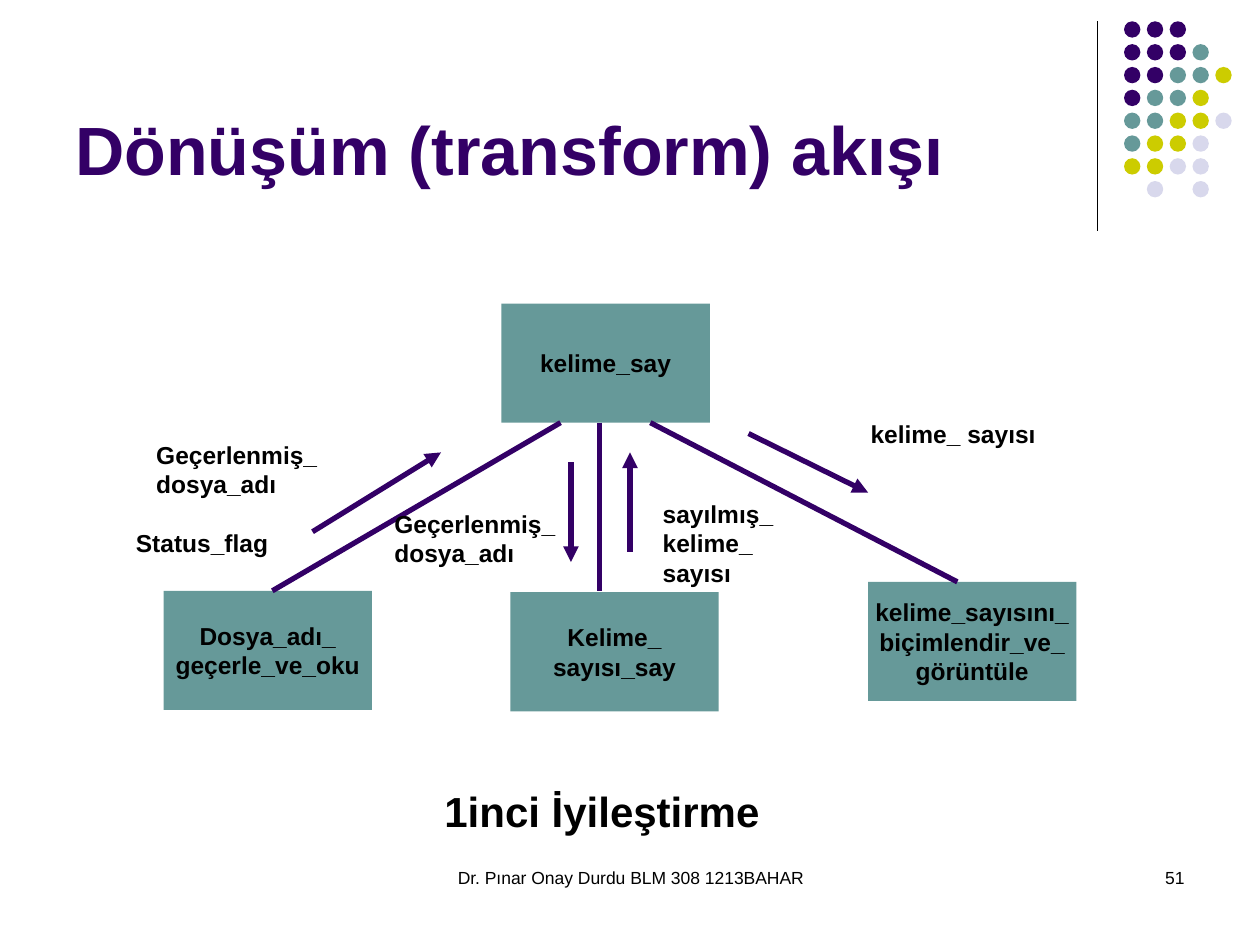
import pptx
import pptx.dml.color
import pptx.enum.shapes
import pptx.enum.text
import pptx.oxml
import pptx.oxml.ns
import pptx.util
from lxml import etree

Cm = pptx.util.Cm
ALIGN = pptx.enum.text.PP_ALIGN
ANCHOR = pptx.enum.text.MSO_ANCHOR
SHAPE = pptx.enum.shapes.MSO_SHAPE
STRAIGHT = pptx.enum.shapes.MSO_CONNECTOR.STRAIGHT

COLORS = {
    "purple": "330066",
    "teal": "669999",
    "olive": "CCCC00",
    "lilac": "D8D8EC",
    "black": "000000",
}
DOT_COLORS = {"p": "purple", "t": "teal", "o": "olive", "l": "lilac"}
DOT_ROWS = ["ppp", "pppt", "pptto", "ptto", "ttool", "tool", "ooll", " l l"]


def rgb(name):
    return pptx.dml.color.RGBColor.from_string(COLORS[name])


def write(sp, lines, size, color="black", align=ALIGN.LEFT, anchor=ANCHOR.TOP,
          bold=True, wrap=True):
    """Put one paragraph per line into a shape."""
    tf = sp.text_frame
    tf.word_wrap = wrap
    tf.vertical_anchor = anchor
    font = {"name": "Arial", "size": pptx.util.Pt(size), "bold": bold}
    for i, line in enumerate(lines):
        p = tf.paragraphs[0] if i == 0 else tf.add_paragraph()
        p.alignment = align
        r = p.add_run()
        r.text = line
        for key, value in font.items():
            setattr(r.font, key, value)
        r.font.color.rgb = rgb(color)


def add_text(s, box, text, size, **style):
    sp = s.shapes.add_textbox(*(Cm(v) for v in box))
    write(sp, [text], size, **style)


def add_block(s, kind, box, color):
    sp = s.shapes.add_shape(kind, *(Cm(v) for v in box))
    sp.shadow.inherit = False
    sp.fill.solid()
    sp.fill.fore_color.rgb = rgb(color)
    sp.line.fill.background()
    return sp


def add_line(s, start, end, color, width, arrow=False):
    cn = s.shapes.add_connector(STRAIGHT, *(Cm(v) for v in start + end))
    cn.line.color.rgb = rgb(color)
    cn.line.width = pptx.util.Pt(width)
    if arrow:
        ln = cn.line._get_or_add_ln()
        etree.SubElement(ln, pptx.oxml.ns.qn("a:tailEnd"), type="triangle")
    etree.SubElement(cn._element.spPr, pptx.oxml.ns.qn("a:effectLst"))


def add_corner(s, left, top, height):
    """Vertical rule with the dot pattern to its right."""
    add_line(s, (left, top), (left, top + height), "black", 0.75)
    pitch, size = 0.46, 0.33
    for row, codes in enumerate(DOT_ROWS):
        for col, code in enumerate(codes):
            if code in DOT_COLORS:
                box = (left + 0.54 + col * pitch, top + row * pitch, size, size)
                add_block(s, SHAPE.OVAL, box, DOT_COLORS[code])


def add_footer(s, top, height):
    add_text(s, (8.69, top, 8.05, height), "Dr. Pınar Onay Durdu BLM 308 1213BAHAR",
             10, align=ALIGN.CENTER, bold=False)
    add_text(s, (18.21, top, 5.92, height), "51", 10, align=ALIGN.RIGHT, bold=False)


def add_structure_chart(s, left, top):
    """Module boxes, call lines, data-flow arrows and their labels."""
    modules = [
        (7.62, 0, ["kelime_say"]),
        (0.81, 5.79, ["Dosya_adı_", "geçerle_ve_oku"]),
        (7.8, 5.82, ["Kelime_", "sayısı_say"]),
        (15.01, 5.61, ["kelime_sayısını_", "biçimlendir_ve_", "görüntüle"]),
    ]
    calls = [
        ((3, 5.79), (8.81, 2.4)),
        ((9.6, 2.4), (9.6, 5.8)),
        ((10.62, 2.4), (16.81, 5.61)),
    ]
    flows = [
        ((3.81, 4.6), (6.4, 3)),
        ((9.02, 3.2), (9.02, 5.21)),
        ((10.21, 5), (10.21, 3)),
        ((12.6, 2.62), (15.01, 3.81)),
    ]
    labels = [
        (0, 4.39, 3.2, 0.86, "Status_flag"),
        (0.41, 2.62, 3.81, 1.45, "Geçerlenmiş_dosya_adı"),
        (5.21, 4.01, 3.81, 1.45, "Geçerlenmiş_dosya_adı"),
        (10.62, 3.81, 3, 2.03, "sayılmış_kelime_ sayısı"),
        (14.81, 2.21, 4.39, 0.86, "kelime_ sayısı"),
    ]
    for x, y, lines in modules:
        sp = add_block(s, SHAPE.RECTANGLE, (left + x, top + y, 4.2, 2.4), "teal")
        write(sp, lines, 14, align=ALIGN.CENTER, anchor=ANCHOR.MIDDLE, wrap=False)
    for lines, arrow in ((calls, False), (flows, True)):
        for (x1, y1), (x2, y2) in lines:
            add_line(s, (left + x1, top + y1), (left + x2, top + y2),
                     "purple", 3, arrow)
    for x, y, width, height, text in labels:
        add_text(s, (left + x, top + y, width, height), text, 14)


def main():
    prs = pptx.Presentation()
    prs.slide_width, prs.slide_height = Cm(25.4), Cm(19.05)
    s = prs.slides.add_slide(prs.slide_layouts[6])
    add_corner(s, 22.12, 0.43, 4.22)
    add_footer(s, 17.35, 1.27)
    add_text(s, (1.27, 0.33, 20.96, 3.61), "Dönüşüm (transform) akışı", 39,
             color="purple", anchor=ANCHOR.BOTTOM)
    add_structure_chart(s, 2.49, 6.12)
    add_text(s, (8.71, 15.72, 7.21, 1.27), "1inci İyileştirme", 24)
    prs.save("out.pptx")


if __name__ == "__main__":
    main()
